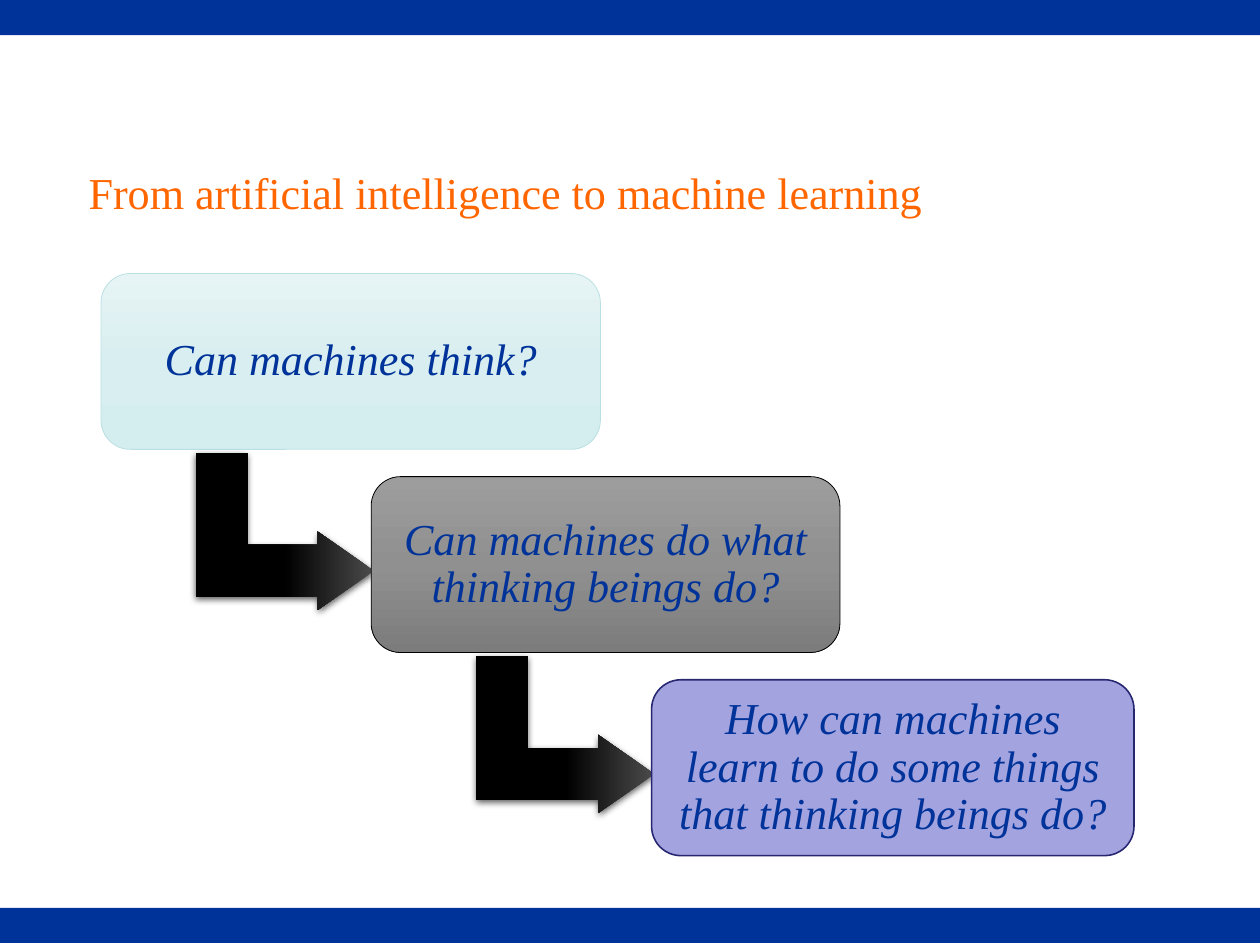
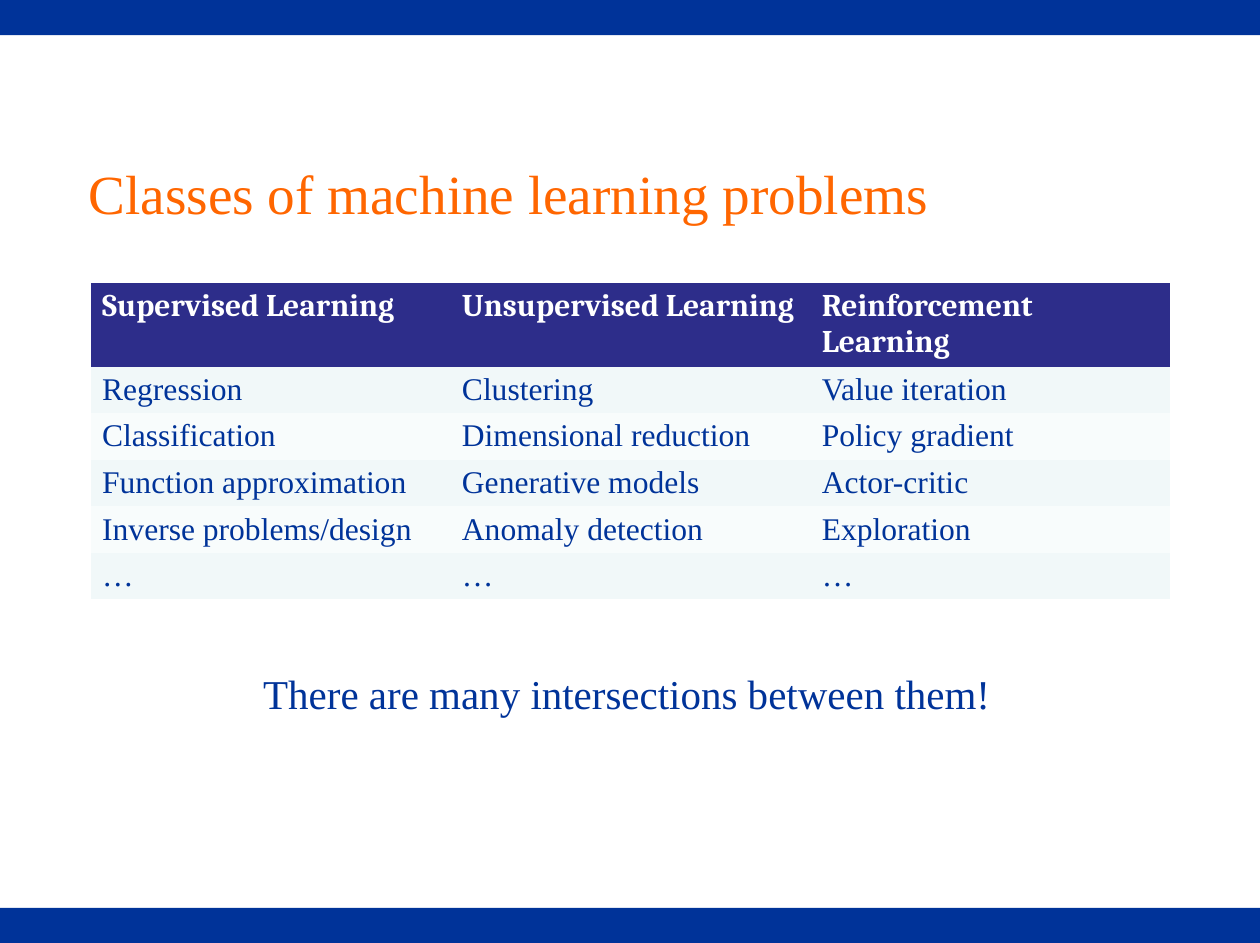
from dataclasses import dataclass

from lxml import etree
from pptx import Presentation
from pptx.dml.color import RGBColor
from pptx.enum.shapes import MSO_SHAPE
from pptx.enum.text import MSO_ANCHOR, MSO_AUTO_SIZE, PP_ALIGN
from pptx.oxml import parse_xml
from pptx.oxml.ns import nsdecls, qn
from pptx.util import Inches, Pt

RECTANGLE = MSO_SHAPE.RECTANGLE
ROUNDED_RECTANGLE = MSO_SHAPE.ROUNDED_RECTANGLE
BENT_ARROW = MSO_SHAPE.BENT_UP_ARROW
MIDDLE = MSO_ANCHOR.MIDDLE
LEFT = PP_ALIGN.LEFT
CENTER = PP_ALIGN.CENTER
NO_AUTO_SIZE = MSO_AUTO_SIZE.NONE
GROW_TO_TEXT = MSO_AUTO_SIZE.SHAPE_TO_FIT_TEXT
TITLE_ONLY = 5
NO_GRID_STYLE = "{2D5ABB26-0587-4C30-8999-92F81FD0307C}"


@dataclass(frozen=True)
class Theme:
    width: float = 11.1
    height: float = 8.31
    band_height: float = 0.31
    font: str = "Times New Roman"
    heading_font: str = "Cambria"
    blue: str = "003399"
    orange: str = "FF6600"
    white: str = "FFFFFF"
    table_header: str = "2D2D8A"
    table_bands: tuple = ("F1F8F9", "F8FCFC")
    arrow: tuple = ("4B4B4B", "000000", "000000")
    step_size: int = 28
    table_size: int = 20
    note_size: int = 26


THEME = Theme()

STEPS = [
    ("Can machines think?", 0.89, 4.4, ("E6F4F5", "D9EEF0", "D4EDEF"), "BBE0E3", 0.5),
    ("Can machines do what thinking beings do?", 3.27, 4.13,
     ("9D9D9D", "909090", "7C7C7C"), "000000", 0.5),
    ("How can machines learn to do some things that thinking beings do?", 5.74, 4.25,
     ("A3A3E0",), "262671", 1),
]

PROBLEM_CLASSES = [
    ("Supervised Learning", "Unsupervised Learning", "Reinforcement Learning"),
    ("Regression", "Clustering", "Value iteration"),
    ("Classification", "Dimensional reduction", "Policy gradient"),
    ("Function approximation", "Generative models", "Actor-critic"),
    ("Inverse problems/design", "Anomaly detection", "Exploration"),
    ("…", "…", "…"),
]


def color(value):
    return RGBColor.from_string(value)


def format_text(text_frame, size, text_color, font=THEME.font, bold=False, italic=False,
                alignment=LEFT):
    for paragraph in text_frame.paragraphs:
        paragraph.alignment = alignment
        for run in paragraph.runs:
            run.font.name = font
            run.font.size = Pt(size)
            run.font.bold = bold
            run.font.italic = italic
            run.font.color.rgb = color(text_color)


def fill_solid(target, value):
    target.fill.solid()
    target.fill.fore_color.rgb = color(value)


def fill_gradient(shape, colors):
    stops = "".join(
        f'<a:gs pos="{index * 50000}"><a:srgbClr val="{value}"/></a:gs>'
        for index, value in enumerate(colors)
    )
    gradient = parse_xml(
        f'<a:gradFill {nsdecls("a")} rotWithShape="1"><a:gsLst>{stops}</a:gsLst>'
        '<a:lin ang="5400000" scaled="0"/></a:gradFill>'
    )
    shape.element.spPr.find(qn("a:prstGeom")).addnext(gradient)


def add_soft_shadow(shape):
    shape.shadow.inherit = False
    effects = shape.element.spPr.find(qn("a:effectLst"))
    shadow = etree.SubElement(effects, qn("a:outerShdw"), blurRad=str(Pt(4.5)),
                              dist=str(Pt(1.5)), dir="5400000", rotWithShape="0")
    shade = etree.SubElement(shadow, qn("a:srgbClr"), val="000000")
    etree.SubElement(shade, qn("a:alpha"), val="63000")


def add_master_bands(presentation, slide):
    master_tree = presentation.slide_master.shapes.element
    for index, top in enumerate((0, THEME.height - THEME.band_height)):
        band = slide.shapes.add_shape(RECTANGLE, 0, Inches(top), Inches(THEME.width),
                                      Inches(THEME.band_height))
        band.shadow.inherit = False
        fill_solid(band, THEME.blue)
        band.line.fill.background()
        band.element.nvSpPr.cNvPr.set("id", str(101 + index))
        master_tree.insert(2, band.element)


def add_titled_slide(presentation, text, size):
    slide = presentation.slides.add_slide(presentation.slide_layouts[TITLE_ONLY])
    title = slide.shapes.title
    title.left, title.top = Inches(0.67), Inches(1)
    title.width, title.height = Inches(7.91), Inches(1.39)
    text_frame = title.text_frame
    text_frame.text = text
    text_frame.auto_size = NO_AUTO_SIZE
    text_frame.vertical_anchor = MIDDLE
    text_frame.margin_left = text_frame.margin_right = Inches(0.11)
    text_frame.margin_top = text_frame.margin_bottom = Inches(0.06)
    format_text(text_frame, size, THEME.orange)
    return slide


def add_step_arrow(slide, step_left, step_top):
    arrow = slide.shapes.add_shape(BENT_ARROW, Inches(step_left - 1.45),
                                   Inches(step_top - 0.3), Inches(1.38), Inches(1.57))
    arrow.rotation = 90
    for index, value in enumerate((0.33, 0.25, 0.36)):
        arrow.adjustments[index] = value
    fill_gradient(arrow, THEME.arrow)
    arrow.line.fill.background()
    add_soft_shadow(arrow)


def add_step_box(slide, left, top, width, height, text, colors, line_color, line_width):
    box = slide.shapes.add_shape(ROUNDED_RECTANGLE, Inches(left), Inches(top),
                                 Inches(width), Inches(height))
    box.shadow.inherit = False
    if len(colors) == 1:
        fill_solid(box, colors[0])
    else:
        fill_gradient(box, colors)
    box.line.color.rgb = color(line_color)
    box.line.width = Pt(line_width)
    text_frame = box.text_frame
    text_frame.text = text
    text_frame.word_wrap = True
    text_frame.vertical_anchor = MIDDLE
    text_frame.margin_left = text_frame.margin_right = Inches(0.12)
    text_frame.margin_top = text_frame.margin_bottom = Inches(0.12)
    text_frame.paragraphs[0].line_spacing = 0.9
    format_text(text_frame, THEME.step_size, THEME.blue, italic=True, alignment=CENTER)


def add_staircase(slide, top, step_height, pitch):
    for index, (text, left, width, colors, line_color, line_width) in enumerate(STEPS):
        step_top = top + index * pitch
        if index:
            add_step_arrow(slide, left, step_top)
        add_step_box(slide, left, step_top, width, step_height, text, colors,
                     line_color, line_width)


def add_problem_table(slide, left, top, width, row_height):
    frame = slide.shapes.add_table(
        len(PROBLEM_CLASSES), len(PROBLEM_CLASSES[0]), Inches(left), Inches(top),
        Inches(width), Inches(row_height * len(PROBLEM_CLASSES)))
    next(frame.element.iter(qn("a:tableStyleId"))).text = NO_GRID_STYLE
    for row_index, values in enumerate(PROBLEM_CLASSES):
        is_header = row_index == 0
        fill = THEME.table_header if is_header else THEME.table_bands[(row_index - 1) % 2]
        for column_index, value in enumerate(values):
            cell = frame.table.cell(row_index, column_index)
            cell.text_frame.text = value
            fill_solid(cell, fill)
            format_text(cell.text_frame, THEME.table_size,
                        THEME.white if is_header else THEME.blue,
                        font=THEME.heading_font if is_header else THEME.font,
                        bold=is_header)


def add_note(slide, left, top, width, height, text):
    note = slide.shapes.add_textbox(Inches(left), Inches(top), Inches(width), Inches(height))
    text_frame = note.text_frame
    text_frame.text = text
    text_frame.word_wrap = False
    text_frame.auto_size = GROW_TO_TEXT
    format_text(text_frame, THEME.note_size, THEME.blue)


def main():
    presentation = Presentation()
    presentation.slide_width = Inches(THEME.width)
    presentation.slide_height = Inches(THEME.height)

    questions = add_titled_slide(
        presentation, "From artificial intelligence to machine learning", 28)
    add_master_bands(presentation, questions)
    add_staircase(questions, 2.41, 1.55, 1.79)

    problems = add_titled_slide(presentation, "Classes of machine learning problems", 35)
    add_problem_table(problems, 0.8, 2.49, 9.51, 0.41)
    add_note(problems, 2.22, 5.84, 6.67, 0.54, "There are many intersections between them!")

    presentation.save("out.pptx")


if __name__ == "__main__":
    main()
